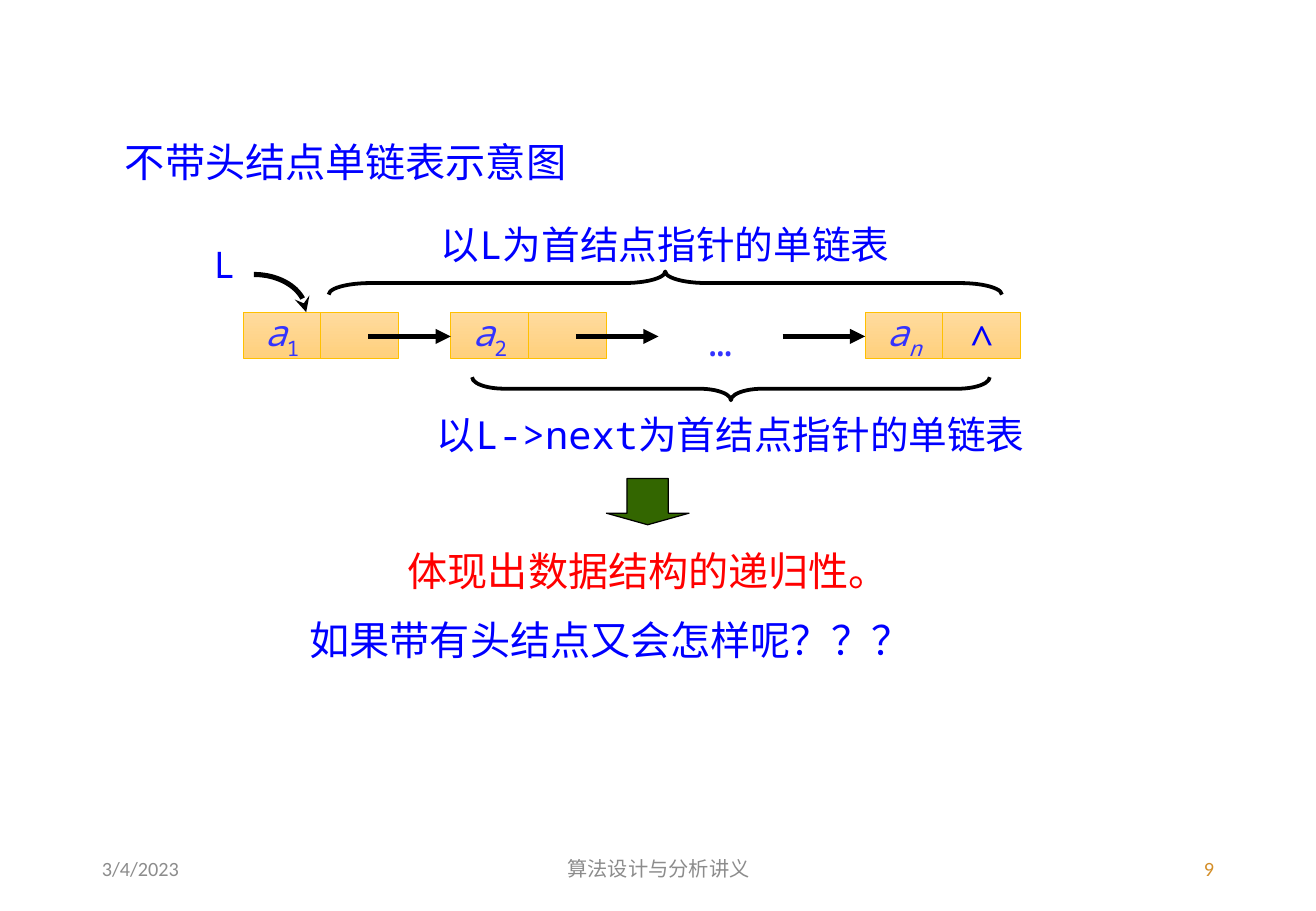
"""Build a slide on the recursive structure of a linked list."""
import math
from typing import NamedTuple

import pptx
import pptx.dml.color
import pptx.enum.shapes
import pptx.enum.text
import pptx.util
from lxml import etree
from pptx.oxml.ns import qn

RGB = pptx.dml.color.RGBColor
BLUE = RGB(0x00, 0x00, 0xFF)
VIOLET = RGB(0x33, 0x33, 0xFF)
RED = RGB(0xFF, 0x00, 0x00)
BLACK = RGB(0x00, 0x00, 0x00)
GREEN = RGB(0x33, 0x66, 0x00)
GOLD = RGB(0xFF, 0xC0, 0x00)
PALE = RGB(0xFF, 0xDB, 0x9E)
AMBER = RGB(0xFF, 0xD0, 0x7C)
GRAY = RGB(0x8C, 0x8C, 0x8C)
OCHRE = RGB(0xD4, 0x8F, 0x29)

Inches = pptx.util.Inches
Shape = pptx.enum.shapes.MSO_SHAPE
Align = pptx.enum.text.PP_ALIGN
Anchor = pptx.enum.text.MSO_ANCHOR
Fit = pptx.enum.text.MSO_AUTO_SIZE
MONO = "Noto Sans Mono"
ROW_TOP, CELL_W, CELL_H = 2.57, 0.64, 0.38
ARROW_Y, ARROW_W = 2.77, 0.68


class Label(NamedTuple):
    text: str
    box: tuple[float, float, float, float]
    size: float
    color: RGB = BLUE
    align: Align = Align.LEFT
    font: str = MONO
    anchor: Anchor = Anchor.TOP
    fit: Fit = Fit.SHAPE_TO_FIT_TEXT


class Node(NamedTuple):
    left: float
    index: str
    slant: bool = False
    link: str = ""


class Brace(NamedTuple):
    box: tuple[float, float, float, float]
    turn: int
    bend: float


LABELS = [
    Label("…", (5.59, 2.57, 0.68, 0.49), 22.9, VIOLET, Align.CENTER),
    Label("L", (1.66, 1.94, 0.51, 0.47), 21.7),
    Label("不带头结点单链表示意图", (0.93, 1.08, 4.32, 0.5), 23.8),
    Label("以L为首结点指针的单链表", (3.17, 1.77, 4.61, 0.49), 22.9, align=Align.CENTER),
    Label("以L->next为首结点指针的单链表", (3.07, 3.33, 5.89, 0.49), 22.9,
          align=Align.CENTER),
    Label("体现出数据结构的递归性。", (3.03, 4.45, 4.61, 0.5), 23.8, RED, Align.CENTER),
    Label("如果带有头结点又会怎样呢？？？", (2.45, 5.02, 5.7, 0.5), 23.8),
]
FOOTERS = [
    Label(text, (left, 6.95, width, 0.4), 12, color, align, "Calibri", Anchor.MIDDLE, Fit.NONE)
    for text, left, width, color, align in [
        ("3/4/2023", 0.74, 2.44, GRAY, Align.LEFT),
        ("算法设计与分析讲义", 3.59, 3.66, GRAY, Align.CENTER),
        ("9", 7.65, 2.44, OCHRE, Align.RIGHT),
    ]
]
NODES = [Node(2, "1"), Node(3.71, "2"), Node(7.12, "n", True, "∧")]
TIPS = [3.71, 5.42, 7.12]
BRACES = [
    Brace((5.92, 1.07, 0.19, 4.26), 90, 1.389),
    Brace((5.38, -0.44, 0.19, 5.54), 270, 1.806),
]


def write(frame, text: str, *, size: float, color: RGB, font: str = MONO,
          align: Align = Align.CENTER, slant: bool = False, low: bool = False) -> None:
    """Add a run with its format to the first paragraph."""
    para = frame.paragraphs[0]
    para.alignment = align
    run = para.add_run()
    run.text = text
    run.font.name = font
    run.font.size = pptx.util.Pt(size)
    run.font.italic = slant
    run.font.color.rgb = color
    if low:
        run.font._element.set("baseline", "-25000")


def draw_label(slide, label: Label) -> None:
    """Draw a text box."""
    frame = slide.shapes.add_textbox(*map(Inches, label.box)).text_frame
    frame.word_wrap = True
    frame.auto_size = label.fit
    frame.vertical_anchor = label.anchor
    write(frame, label.text, size=label.size, color=label.color,
          font=label.font, align=label.align)


def stroke(shape, color: RGB, width: float, head: str = "") -> None:
    """Set a line and its arrowhead."""
    shape.line.color.rgb = color
    shape.line.width = pptx.util.Pt(width)
    if head:
        tail = etree.SubElement(shape.line._get_or_add_ln(), qn("a:tailEnd"))
        tail.set("type", head)


def add_shape(slide, kind: Shape, box: tuple[float, float, float, float],
              color: RGB, width: float):
    """Add an outlined shape without a shadow."""
    shape = slide.shapes.add_shape(kind, *map(Inches, box))
    shape.shadow.inherit = False
    stroke(shape, color, width)
    return shape


def draw_cell(slide, left: float):
    """Draw one cell and return its text frame."""
    cell = add_shape(slide, Shape.RECTANGLE, (left, ROW_TOP, CELL_W, CELL_H), GOLD, 0.5)
    cell.fill.gradient()
    cell.fill.gradient_angle = 270
    for stop, color in zip(cell.fill.gradient_stops, (PALE, AMBER)):
        stop.color.rgb = color
    cell.text_frame.word_wrap = False
    cell.text_frame.vertical_anchor = Anchor.MIDDLE
    return cell.text_frame


def draw_node(slide, node: Node) -> None:
    """Draw the data and link cells of a node."""
    data = draw_cell(slide, node.left)
    write(data, "a", size=21.7, color=VIOLET, slant=True)
    write(data, node.index, size=21.7, color=VIOLET, slant=node.slant, low=True)
    link = draw_cell(slide, node.left + CELL_W)
    if node.link:
        write(link, node.link, size=21.7, color=BLUE)


def draw_arrow(slide, tip: float) -> None:
    """Draw a link arrow that ends at the tip."""
    arrow = slide.shapes.add_connector(
        pptx.enum.shapes.MSO_CONNECTOR.STRAIGHT,
        *map(Inches, (tip - ARROW_W, ARROW_Y, tip, ARROW_Y)))
    stroke(arrow, BLACK, 3, "triangle")
    etree.SubElement(arrow._element.spPr, qn("a:effectLst"))


def draw_curve(slide) -> None:
    """Draw the curved pointer from L to the first node."""
    turns = [math.pi / 2 * step / 24 for step in range(25)]
    points = [(Inches(2.09 + 0.43 * math.sin(turn)), Inches(2.57 - 0.31 * math.cos(turn)))
              for turn in turns]
    pen = slide.shapes.build_freeform(*points[0])
    pen.add_line_segments(points[1:], close=False)
    curve = pen.convert_to_shape()
    curve.shadow.inherit = False
    curve.fill.background()
    stroke(curve, BLACK, 3, "stealth")


def draw_brace(slide, brace: Brace) -> None:
    """Draw a turned brace."""
    shape = add_shape(slide, Shape.RIGHT_BRACE, brace.box, BLACK, 2.25)
    shape.fill.background()
    shape.rotation = brace.turn
    shape.adjustments[0] = brace.bend


def main() -> None:
    """Build and save the slide."""
    deck = pptx.Presentation()
    deck.slide_width, deck.slide_height = Inches(10.83), Inches(7.5)
    slide = deck.slides.add_slide(deck.slide_layouts[6])
    for node in NODES:
        draw_node(slide, node)
    draw_curve(slide)
    for tip in TIPS:
        draw_arrow(slide, tip)
    for brace in BRACES:
        draw_brace(slide, brace)
    down = add_shape(slide, Shape.DOWN_ARROW, (4.99, 3.94, 0.68, 0.38), BLACK, 0.75)
    down.fill.solid()
    down.fill.fore_color.rgb = GREEN
    down.adjustments[1] = 0.25
    for label in LABELS + FOOTERS:
        draw_label(slide, label)
    deck.save("out.pptx")


if __name__ == "__main__":
    main()
